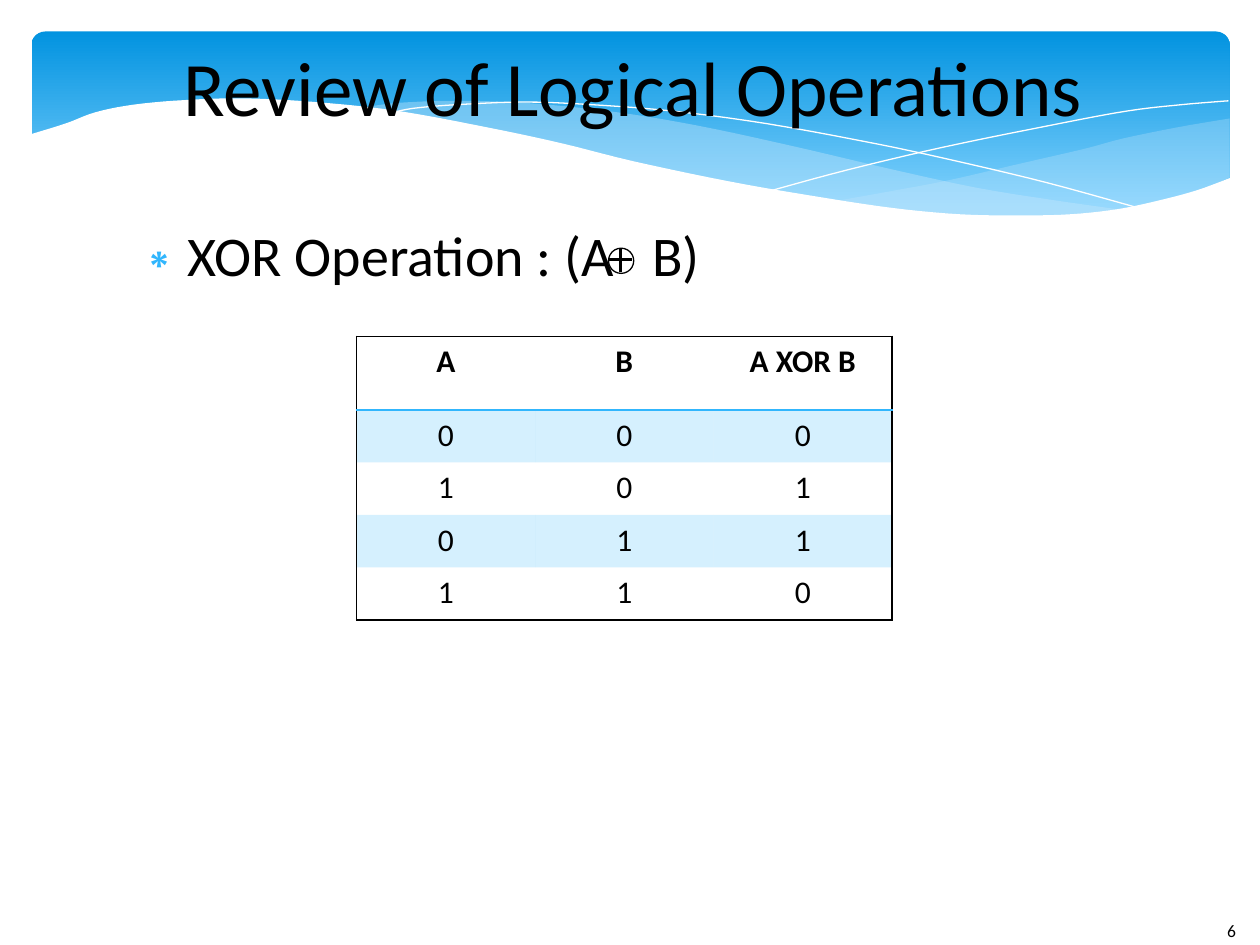
from dataclasses import dataclass

import pptx
import pptx.dml.color
import pptx.enum.shapes
import pptx.enum.text
import pptx.oxml
import pptx.oxml.ns
import pptx.util

Pt = pptx.util.Pt
qn = pptx.oxml.ns.qn
CENTER = pptx.enum.text.PP_ALIGN.CENTER
SHAPES = pptx.enum.shapes.MSO_SHAPE


@dataclass(frozen=True)
class Theme:
    font: str = "Calibri"
    ink: str = "000000"
    paper: str = "FFFFFF"
    accent: str = "31B6FD"
    mist: str = "C6E7FC"
    sky_top: str = "0293E0"
    sky_bottom: str = "83D3FE"
    title: int = 44
    body: int = 32
    cell: int = 18
    footer: int = 10


THEME = Theme()

# Each outline is a list of smooth edges, in points.
RIGHT_WAVE = [
    [(702.7, 67.7), (673.2, 72.7), (641.5, 79.2), (619.9, 85), (579.6, 94.3),
     (542.2, 103), (508.3, 109.4), (475.9, 115.2)],
    [(475.9, 115.2), (497.5, 118.1), (527, 121), (562.3, 123.8), (601.2, 123.8),
     (634.3, 120.2), (663.1, 115.2), (683.3, 109.4), (702.7, 101.5)],
]
MIDDLE_WAVE = [
    [(205.9, 61.9), (225.4, 59), (259.9, 57.6), (302.4, 59), (352.1, 64.1),
     (399.6, 72), (452.9, 83.5), (508.3, 96.5), (558, 107.3), (602.6, 114.5),
     (643, 120.2)],
    [(643, 120.2), (617, 123.1), (589, 124.6), (556.6, 123.8), (519.8, 121),
     (478.8, 115.9), (432.7, 108), (381.6, 97.2), (323.3, 83.5), (275.8, 72.7),
     (232.6, 64.8), (205.9, 61.9)],
]
FALLING_THREAD = [
    [(222.5, 64.8), (236.2, 61.9), (261.4, 59.8), (299.5, 58.3), (337.7, 59.8),
     (383.8, 63.4), (437.8, 70.6), (500.4, 82.1), (547.2, 92.2), (598.3, 104.4),
     (653, 119.5)],
]
RISING_THREAD = [
    [(441.4, 108.7), (483.8, 97.2), (538.6, 84.2), (601.9, 71.3), (644.4, 63.4),
     (675.4, 59.8), (702, 57.6)],
]
LOWER_MASK = [
    [(703.4, 101.5), (684, 108.7), (662.4, 114.5), (638.6, 119.5), (612, 122.4),
     (582.5, 123.1), (547.9, 122.4), (509.8, 118.8), (466.6, 112.3), (416.9, 103.7),
     (362.2, 92.2), (321.8, 82.1), (281.5, 73.4), (227.5, 63.4), (180, 58.3),
     (139, 56.2), (105.1, 57.2), (76.3, 59.8), (54.7, 64.1), (37.4, 70.6),
     (16.6, 77)],
    [(16.6, 161.3), (703.4, 161.3)],
]
TRUTH_TABLE = [("A", "B", "A XOR B"), "000", "101", "011", "110"]


def rgb(color):
    return pptx.dml.color.RGBColor.from_string(color)


def add_xml(parent, text):
    namespace = pptx.oxml.ns.nsdecls("a")
    parent.append(pptx.oxml.parse_xml(text.replace(" ", f" {namespace} ", 1)))


def set_opacity(element, percent):
    """Make the first colour inside the element partly transparent."""
    color = next(element.iter(qn("a:srgbClr")))
    add_xml(color, f'<a:alpha val="{percent * 1000}"/>')


def add_span(para, text, size, bold=False):
    span = para.add_run()
    span.text = text
    span.font.name = THEME.font
    span.font.size = Pt(size)
    span.font.bold = bold
    span.font.color.rgb = rgb(THEME.ink)
    return span


def smooth(points, steps=5):
    """Sample a Catmull-Rom curve that runs through the points."""
    padded = [points[0], *points, points[-1]]
    curve = [points[0]]
    for a, b, c, d in zip(padded, padded[1:], padded[2:], padded[3:]):
        for t in (step / steps for step in range(1, steps + 1)):
            curve.append(tuple(
                (2 * q + (r - p) * t + (2 * p - 5 * q + 4 * r - s) * t ** 2
                 + (3 * q - p - 3 * r + s) * t ** 3) / 2
                for p, q, r, s in zip(a, b, c, d)))
    return curve


def add_outline(page, edges, fill=None, opacity=100, line=None):
    points = [(Pt(x), Pt(y)) for edge in edges for x, y in smooth(edge)]
    builder = page.shapes.build_freeform(*points[0])
    builder.add_line_segments(points[1:], close=fill is not None)
    shape = builder.convert_to_shape()
    paint(shape, fill, line)
    if opacity < 100:
        set_opacity(shape._element.spPr, opacity)


def paint(shape, fill=None, line=None):
    shape.shadow.inherit = False
    if fill:
        shape.fill.solid()
        shape.fill.fore_color.rgb = rgb(fill)
    else:
        shape.fill.background()
    if line:
        shape.line.color.rgb = rgb(line)
        shape.line.width = Pt(0)
    else:
        shape.line.fill.background()


def add_banner(page):
    panel = page.shapes.add_shape(
        SHAPES.ROUNDED_RECTANGLE, Pt(18), Pt(18), Pt(684.72), Pt(112.32))
    panel.adjustments[0] = 0.07
    paint(panel)
    panel.fill.gradient()
    panel.fill.gradient_angle = 270
    stops = zip(panel.fill.gradient_stops, (0, 0.9), (THEME.sky_top, THEME.sky_bottom))
    for stop, position, color in stops:
        stop.position = position
        stop.color.rgb = rgb(color)
    add_outline(page, RIGHT_WAVE, THEME.mist, 29)
    add_outline(page, MIDDLE_WAVE, THEME.mist, 40)
    add_outline(page, FALLING_THREAD, line=THEME.paper)
    add_outline(page, RISING_THREAD, line=THEME.paper)
    add_outline(page, LOWER_MASK, THEME.paper)


def place_text(shape, left, top, width, height, anchor):
    """Move a placeholder in front of the banner and return its first paragraph."""
    shape.left, shape.top, shape.width, shape.height = map(Pt, (left, top, width, height))
    page_tree = shape._element.getparent()
    page_tree.append(shape._element)
    frame = shape.text_frame
    frame.word_wrap = True
    frame.auto_size = pptx.enum.text.MSO_AUTO_SIZE.NONE
    frame.vertical_anchor = anchor
    frame.margin_left = frame.margin_right = frame.margin_top = frame.margin_bottom = 0
    return frame.paragraphs[0]


def add_title(page):
    para = place_text(page.shapes.title, 69.84, 12.24, 583.92, 73.44,
                      pptx.enum.text.MSO_ANCHOR.MIDDLE)
    para.alignment = CENTER
    add_span(para, "Review of Logical Operations", THEME.title)


def add_body(page):
    para = place_text(page.placeholders[1], 66.24, 126, 583.92, 356.4,
                      pptx.enum.text.MSO_ANCHOR.TOP)
    para.space_before = Pt(0)
    para.space_after = Pt(14.1)
    properties = para._p.get_or_add_pPr()
    properties.set("marL", str(Pt(33.84)))
    properties.set("indent", str(Pt(-25.2)))
    add_xml(properties, f'<a:buClr ><a:srgbClr val="{THEME.accent}"/></a:buClr>')
    add_xml(properties, '<a:buChar char="∗"/>')
    add_span(para, "XOR Operation\u00a0: (A", THEME.body)
    gap = add_span(para, " ", THEME.body)
    gap._r.get_or_add_rPr().set("spc", "1440")
    add_span(para, "B)", THEME.body)


def add_xor_symbol(page):
    for ends in ((347.76, 148.32, 361.44, 148.32), (354.6, 142.2, 354.6, 155.52)):
        bar = page.shapes.add_connector(
            pptx.enum.shapes.MSO_CONNECTOR.STRAIGHT, *map(Pt, ends))
        bar.line.color.rgb = rgb(THEME.ink)
        bar.line.width = Pt(0)
        add_xml(bar._element.spPr, "<a:effectLst />")
    ring = page.shapes.add_shape(SHAPES.OVAL, Pt(347.76), Pt(141.84), Pt(14.4), Pt(14.4))
    paint(ring, line=THEME.ink)


def set_borders(cell, colors):
    """Draw the left, right, top and bottom borders; None leaves one out."""
    properties = cell._tc.get_or_add_tcPr()
    fill = properties[0]
    for side, color in zip("LRTB", colors):
        paint_xml = (f'<a:solidFill><a:srgbClr val="{color}"/></a:solidFill>'
                     if color else "<a:noFill/>")
        add_xml(properties, f'<a:ln{side} w="{Pt(1)}">{paint_xml}</a:ln{side}>')
    properties.append(fill)


def add_truth_table(page):
    rows, columns = len(TRUTH_TABLE), len(TRUTH_TABLE[0])
    table = page.shapes.add_table(
        rows, columns, Pt(203.76), Pt(192.24), Pt(306), Pt(162)).table
    table.first_row = table.horz_banding = False
    for row, values in enumerate(TRUTH_TABLE):
        table.rows[row].height = Pt(30 if row else 42)
        for column, value in enumerate(values):
            cell = table.cell(row, column)
            para = cell.text_frame.paragraphs[0]
            para.alignment = CENTER
            add_span(para, value, THEME.cell, bold=row == 0)
            if row % 2:
                cell.fill.solid()
                cell.fill.fore_color.rgb = rgb(THEME.accent)
                set_opacity(cell._tc.tcPr, 20)
            else:
                cell.fill.background()
            header_rule = THEME.accent
            set_borders(cell, (
                THEME.ink if column == 0 else None,
                THEME.ink if column == columns - 1 else None,
                {0: THEME.ink, 1: header_rule}.get(row),
                {0: header_rule, rows - 1: THEME.ink}.get(row)))


def add_page_number(page):
    box = page.shapes.add_textbox(Pt(694.08), Pt(522), Pt(43.92), Pt(28.8))
    box.text_frame.word_wrap = True
    add_span(box.text_frame.paragraphs[0], "6", THEME.footer)


def main():
    deck = pptx.Presentation()
    deck.slide_width, deck.slide_height = Pt(720), Pt(540)
    page = deck.slides.add_slide(deck.slide_layouts[1])
    add_banner(page)
    add_title(page)
    add_body(page)
    add_xor_symbol(page)
    add_page_number(page)
    add_truth_table(page)
    deck.save("out.pptx")


if __name__ == "__main__":
    main()
